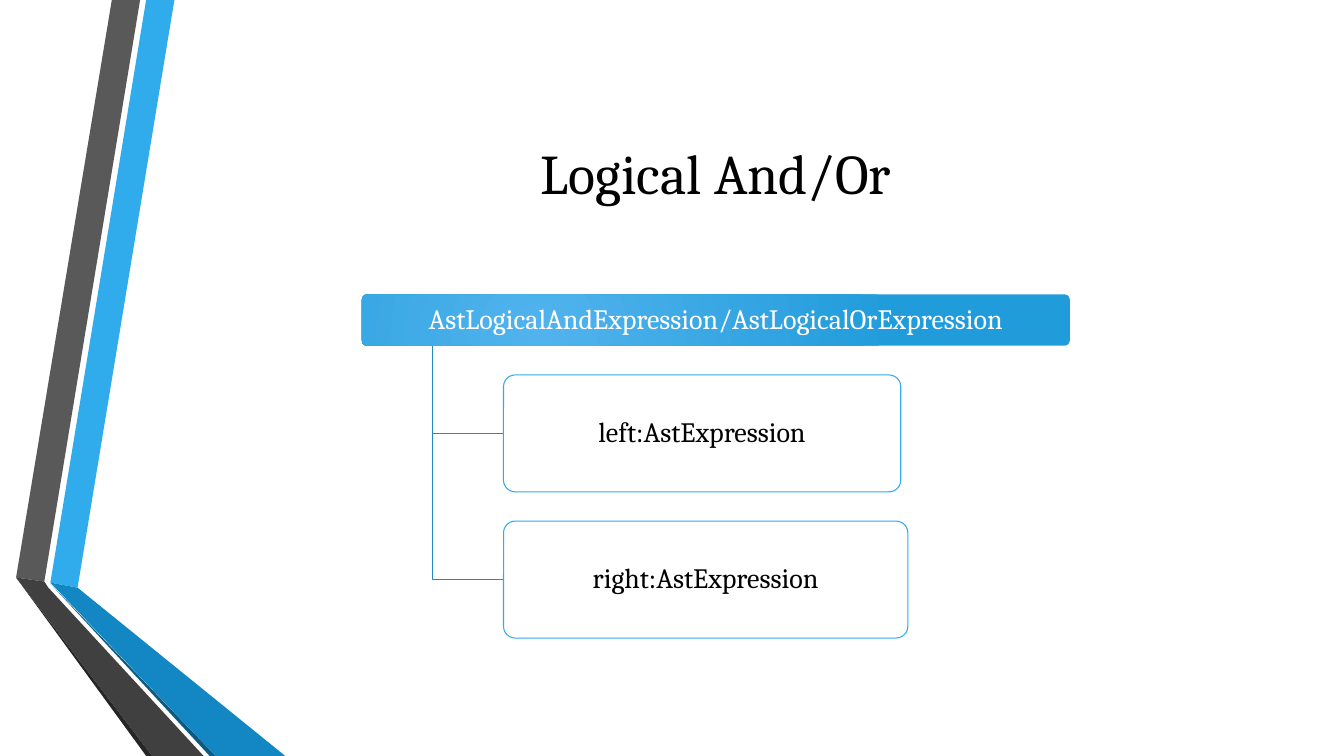
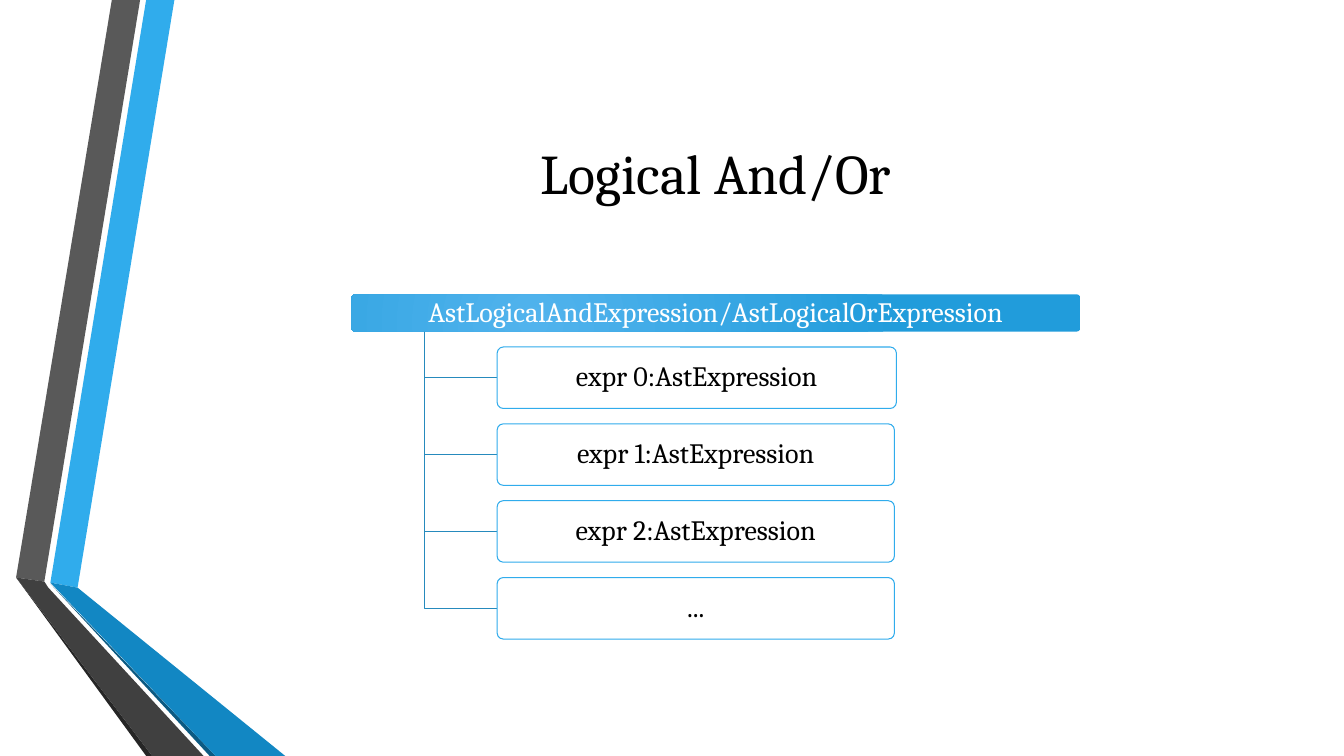
from dataclasses import dataclass

from lxml import etree
from pptx import Presentation
from pptx import util as u
from pptx.dml.color import RGBColor
from pptx.enum import shapes, text
from pptx.oxml import ns


@dataclass(frozen=True)
class Theme:
    font: str = "Cambria"
    title_size: int = 40
    node_size: int = 20
    line_width: float = 0.75
    black: str = "000000"
    white: str = "FFFFFF"
    border: str = "30ACEC"
    branch: str = "268ABD"
    glow: str = "51B3ED"
    header: str = "219CDB"
    blue_band: str = "30ACEC"
    blue_fold: str = "1287C3"
    blue_edge: str = "0C5A82"
    gray_band: str = "595959"
    gray_fold: str = "404040"
    gray_edge: str = "262626"


THEME = Theme()
CENTER = 7.1
BANDS = [
    (THEME.blue_band, [(0.5, 5.78), (0.77, 5.83), (1.73, 0), (1.45, 0)]),
    (THEME.gray_band, [(1.39, 0), (1.11, 0), (0.16, 5.73), (0.44, 5.77)]),
    (THEME.gray_edge, [(0.16, 5.73), (1.45, 7.5), (1.51, 7.5)]),
    (THEME.blue_edge, [(0.5, 5.79), (2.08, 7.5), (2.14, 7.5)]),
    (THEME.blue_fold, [(0.5, 5.78), (2.14, 7.5), (2.83, 7.5), (0.77, 5.83)]),
    (THEME.gray_fold, [(0.16, 5.73), (1.51, 7.5), (2.02, 7.5), (0.48, 5.83), (0.44, 5.77)]),
]


class Deck:
    def __init__(self, theme):
        self.theme = theme
        self.presentation = Presentation()
        self.presentation.slide_width = u.Inches(13.33)
        self.presentation.slide_height = u.Inches(7.5)
        self.slide = None

    def add_slide(self, title):
        self.slide = self.presentation.slides.add_slide(self.presentation.slide_layouts[6])
        for color, points in BANDS:
            self.band(points, color)
        self.title(title)

    def outline(self, points, close):
        corners = [(u.Inches(x), u.Inches(y)) for x, y in points]
        builder = self.slide.shapes.build_freeform(*corners[0])
        builder.add_line_segments(corners[1:], close=close)
        shape = builder.convert_to_shape()
        shape.shadow.inherit = False
        return shape

    def band(self, points, color):
        shape = self.outline(points, close=True)
        shape.fill.solid()
        shape.fill.fore_color.rgb = RGBColor.from_string(color)
        shape.line.fill.background()

    def stroke(self, shape, color):
        shape.line.color.rgb = RGBColor.from_string(color)
        shape.line.width = u.Pt(self.theme.line_width)

    def branch(self, points):
        shape = self.outline(points, close=False)
        shape.fill.background()
        self.stroke(shape, self.theme.branch)

    def label(self, shape, words, size, color, spacing=1.0):
        frame = shape.text_frame
        frame.word_wrap = True
        frame.vertical_anchor = text.MSO_ANCHOR.MIDDLE
        paragraph = frame.paragraphs[0]
        paragraph.alignment = text.PP_ALIGN.CENTER
        paragraph.line_spacing = spacing
        run = paragraph.add_run()
        run.text = words
        run.font.name = self.theme.font
        run.font.size = u.Pt(size)
        run.font.color.rgb = RGBColor.from_string(color)

    def title(self, words):
        width = 10.96
        shape = self.slide.shapes.add_textbox(
            u.Inches(CENTER - width / 2), u.Inches(0.75), u.Inches(width), u.Inches(1.92))
        self.label(shape, words, self.theme.title_size, self.theme.black)

    def node(self, words, left, top, width, height, color):
        shape = self.slide.shapes.add_shape(
            shapes.MSO_SHAPE.ROUNDED_RECTANGLE,
            u.Inches(left), u.Inches(top), u.Inches(width), u.Inches(height))
        shape.adjustments[0] = 0.1
        shape.shadow.inherit = False
        frame = shape.text_frame
        frame.margin_left = frame.margin_right = u.Inches(0.04)
        frame.margin_top = frame.margin_bottom = u.Inches(0.03)
        self.label(shape, words, self.theme.node_size, color, spacing=0.9)
        return shape

    def header(self, words, left, top, width, height):
        shape = self.node(words, left, top, width, height, self.theme.white)
        shape.line.fill.background()
        shape.fill.gradient()
        colors = (self.theme.glow, self.theme.header)
        for stop, color, position in zip(shape.fill.gradient_stops, colors, (0, 1)):
            stop.color.rgb = RGBColor.from_string(color)
            stop.position = position
        gradient = shape.element.spPr.find(ns.qn("a:gradFill"))
        gradient.remove(gradient.find(ns.qn("a:lin")))
        circle = etree.SubElement(gradient, ns.qn("a:path"), {"path": "circle"})
        etree.SubElement(circle, ns.qn("a:fillToRect"),
                         {"l": "50000", "t": "100000", "r": "100000", "b": "50000"})

    def child(self, words, left, top, width, height):
        shape = self.node(words, left, top, width, height, self.theme.black)
        shape.fill.solid()
        shape.fill.fore_color.rgb = RGBColor.from_string(self.theme.white)
        self.stroke(shape, self.theme.border)

    def tree(self, root, width, header_height, child_height, children):
        top = 2.92
        left = CENTER - width / 2
        bottom = top + header_height
        trunk = left + width * 0.1
        child_left = left + width * 0.2
        gap = child_height / 4
        self.header(root, left, top, width, header_height)
        for index, (words, child_width) in enumerate(children):
            child_top = bottom + gap + index * (child_height + gap)
            middle = child_top + child_height / 2
            self.branch([(trunk, bottom), (trunk, middle), (child_left, middle)])
            self.child(words, child_left, child_top, child_width, child_height)


def main():
    deck = Deck(THEME)
    title = "Logical And/Or"
    root = "AstLogicalAndExpression/AstLogicalOrExpression"

    deck.add_slide(title)
    deck.tree(root, 7.02, 0.51, 1.16,
              [("left:AstExpression", 3.94), ("right:AstExpression", 4.01)])

    deck.add_slide(title)
    deck.tree(root, 7.23, 0.37, 0.61,
              [("expr 0:AstExpression", 3.96), ("expr 1:AstExpression", 3.94),
               ("expr 2:AstExpression", 3.94), ("...", 3.94)])

    deck.presentation.save("out.pptx")


if __name__ == "__main__":
    main()
